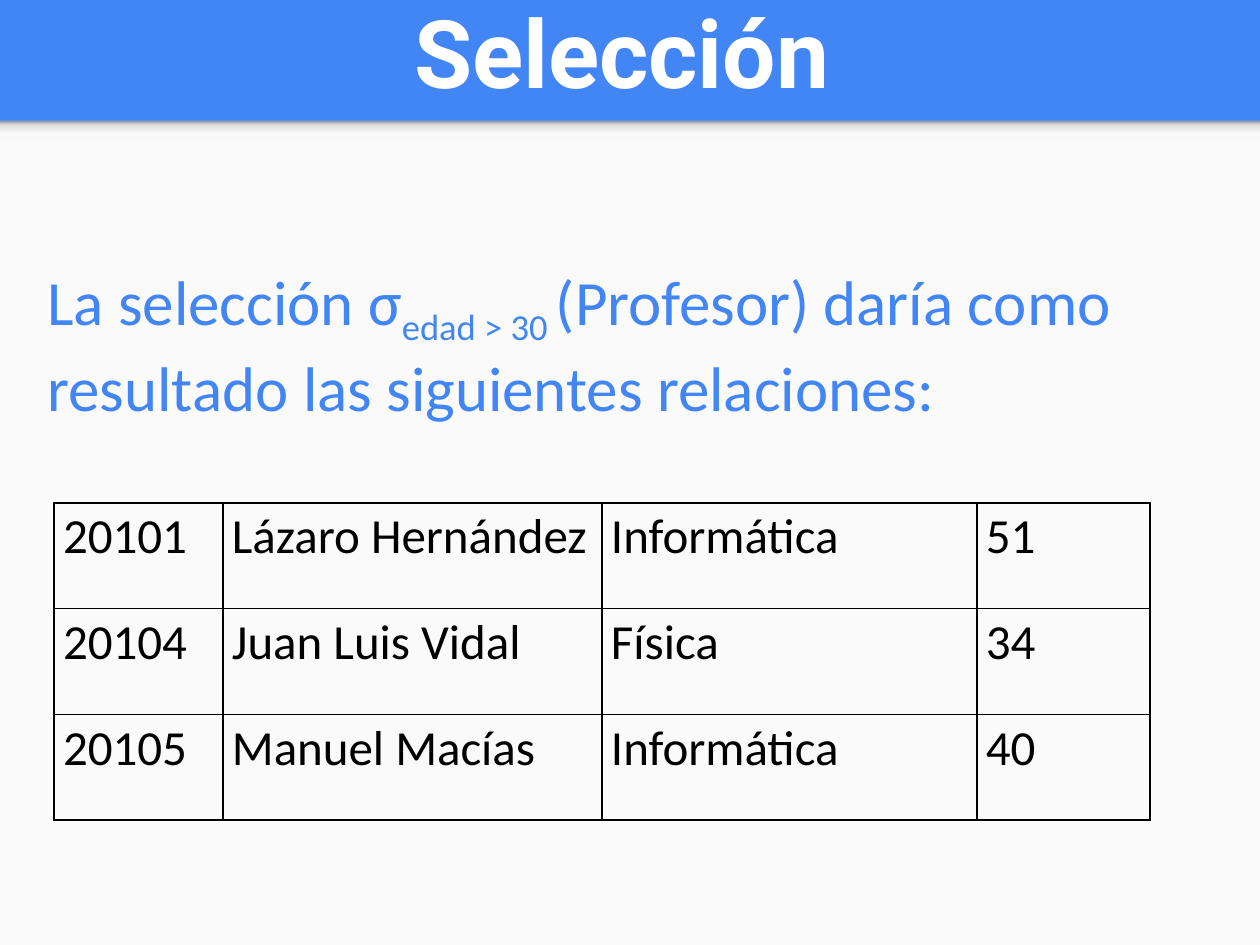
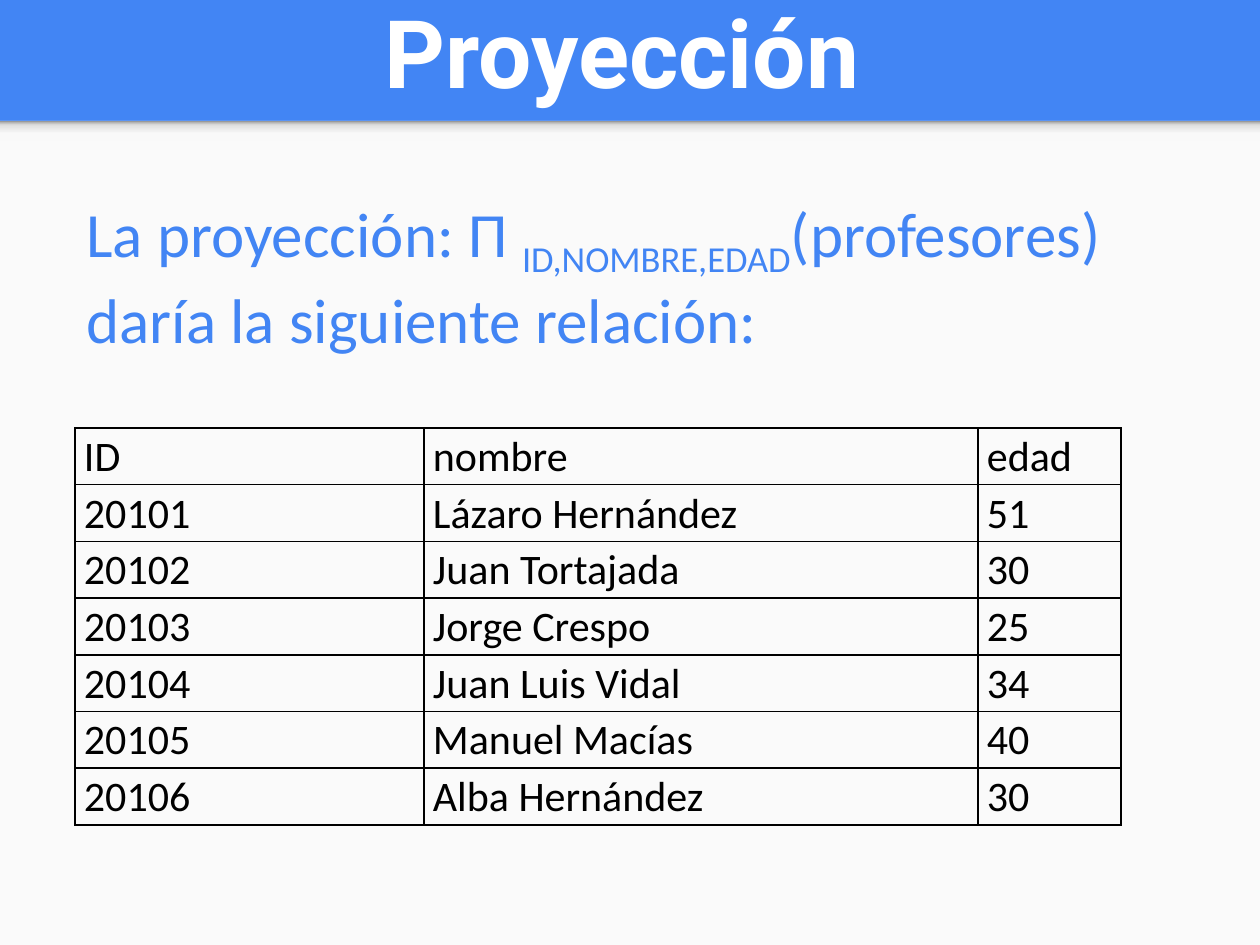
import pptx
import pptx.util
import pptx.dml.color
import pptx.enum.shapes
import pptx.enum.text
import pptx.oxml
import pptx.oxml.ns
from dataclasses import dataclass

PX = 914400 // 126  # EMU in one px
WIDTH, HEIGHT = 1260, 945


@dataclass(frozen=True)
class Theme:
    blue: str = "4285F4"
    paper: str = "FAFAFA"
    white: str = "FFFFFF"
    black: str = "000000"
    title_font: str = "Roboto"
    text_font: str = "Calibri"
    title_size: int = 54
    text_size: int = 36
    border: int = 1
    cell_spacing: float = 1.07
    band_shade: tuple = ((0, "F9F9F9"), (36, "F9F9F9"), (80, "DEDEDE"), (100, "999999"))


THEME = Theme()

# Shared places: left, top, width, height
TITLE_BOX = (14, 3, 1216, 111)
PAPER_BOX = (0, 121, WIDTH, HEIGHT - 121)
BAND_BOX = (0, 121, WIDTH, 20)

# Content: a sentence is a list of paragraphs made of (text, is subscript)
OPERATIONS = [
    {
        "title": "Selección",
        "sentence": [
            [("La selección σ", False), ("edad > 30 ", True),
             ("(Profesor) daría como resultado las siguientes relaciones:", False)],
        ],
        "sentence_box": (35, 256, 1115, 180),
        "relation": [
            ("20101", "Lázaro Hernández", "Informática", "51"),
            ("20104", "Juan Luis Vidal", "Física", "34"),
            ("20105", "Manuel Macías", "Informática", "40"),
        ],
        "relation_at": (54, 503),
        "columns": (169, 379, 375, 173),
        "relation_height": 317,
        "cell_size": 28,
    },
    {
        "title": "Proyección",
        "sentence": [
            [("La proyección: Π ", False), ("ID,NOMBRE,EDAD", True), ("(profesores)", False)],
            [("daría la siguiente relación:", False)],
        ],
        "sentence_box": (74, 188, 1081, 165),
        "relation": [
            ("ID", "nombre", "edad"),
            ("20101", "Lázaro Hernández", "51"),
            ("20102", "Juan Tortajada", "30"),
            ("20103", "Jorge Crespo", "25"),
            ("20104", "Juan Luis Vidal", "34"),
            ("20105", "Manuel Macías", "40"),
            ("20106", "Alba Hernández", "30"),
        ],
        "relation_at": (75, 428),
        "columns": (349, 554, 143),
        "relation_height": 397,
        "cell_size": 24,
    },
]


def emu(lengths):
    return [pptx.util.Emu(length * PX) for length in lengths]


def rgb(colour):
    return pptx.dml.color.RGBColor.from_string(colour)


def set_font(paragraph, name, size, colour, bold=False):
    font = paragraph.font
    font.name, font.size, font.bold = name, pptx.util.Pt(size), bold
    font.color.rgb = rgb(colour)


def add_rectangle(slide, box):
    rectangle = slide.shapes.add_shape(pptx.enum.shapes.MSO_SHAPE.RECTANGLE, *emu(box))
    rectangle.shadow.inherit = False
    rectangle.line.fill.background()
    return rectangle


def add_text_frame(slide, box):
    frame = slide.shapes.add_textbox(*emu(box)).text_frame
    frame.word_wrap = True
    return frame


def add_backdrop(slide):
    slide.background.fill.solid()
    slide.background.fill.fore_color.rgb = rgb(THEME.blue)
    paper = add_rectangle(slide, PAPER_BOX)
    paper.fill.solid()
    paper.fill.fore_color.rgb = rgb(THEME.paper)

    # Shaded band under the title, darkest at its top edge
    band = add_rectangle(slide, BAND_BOX)
    band.fill.gradient()
    band.fill.gradient_angle = 90
    stops = band._element.spPr.find(".//" + pptx.oxml.ns.qn("a:gsLst"))
    stops.clear()
    for percent, colour in THEME.band_shade:
        stops.append(pptx.oxml.parse_xml(
            f'<a:gs {pptx.oxml.ns.nsdecls("a")} pos="{percent * 1000}">'
            f'<a:srgbClr val="{colour}"/></a:gs>'))


def add_title(slide, title):
    frame = add_text_frame(slide, TITLE_BOX)
    frame.vertical_anchor = pptx.enum.text.MSO_ANCHOR.BOTTOM
    heading = frame.paragraphs[0]
    heading.text = title
    heading.alignment = pptx.enum.text.PP_ALIGN.CENTER
    set_font(heading, THEME.title_font, THEME.title_size, THEME.white, bold=True)


def add_sentence(slide, sentence, box):
    frame = add_text_frame(slide, box)
    for number, pieces in enumerate(sentence):
        line = frame.add_paragraph() if number else frame.paragraphs[0]
        set_font(line, THEME.text_font, THEME.text_size, THEME.blue)
        for text, is_subscript in pieces:
            piece = line.add_run()
            piece.text = text
            if is_subscript:
                piece._r.get_or_add_rPr().set("baseline", "-25000")


def style_cell(cell, size):
    cell.margin_left = cell.margin_right = pptx.util.Emu(9 * PX)
    cell.margin_top = cell.margin_bottom = 0
    properties = cell._tc.get_or_add_tcPr()
    for side in ("lnL", "lnR", "lnT", "lnB"):
        properties.append(pptx.oxml.parse_xml(
            f'<a:{side} {pptx.oxml.ns.nsdecls("a")} w="{pptx.util.Pt(THEME.border)}">'
            f'<a:solidFill><a:srgbClr val="{THEME.black}"/></a:solidFill></a:{side}>'))
    cell.fill.background()
    value = cell.text_frame.paragraphs[0]
    value.line_spacing = THEME.cell_spacing
    set_font(value, THEME.text_font, size, THEME.black)


def add_relation(slide, operation):
    rows, columns = operation["relation"], operation["columns"]
    box = (*operation["relation_at"], sum(columns), operation["relation_height"])
    relation = slide.shapes.add_table(len(rows), len(columns), *emu(box)).table
    relation.first_row = relation.horz_banding = False
    for column, width in zip(relation.columns, emu(columns)):
        column.width = width
    for row, values in zip(relation.rows, rows):
        for cell, value in zip(row.cells, values):
            cell.text = value
            style_cell(cell, operation["cell_size"])


def main():
    deck = pptx.Presentation()
    deck.slide_width, deck.slide_height = pptx.util.Inches(10), pptx.util.Inches(7.5)
    blank = deck.slide_layouts[6]
    for operation in OPERATIONS:
        slide = deck.slides.add_slide(blank)
        add_backdrop(slide)
        add_title(slide, operation["title"])
        add_sentence(slide, operation["sentence"], operation["sentence_box"])
        add_relation(slide, operation)
    deck.save("out.pptx")


if __name__ == "__main__":
    main()
